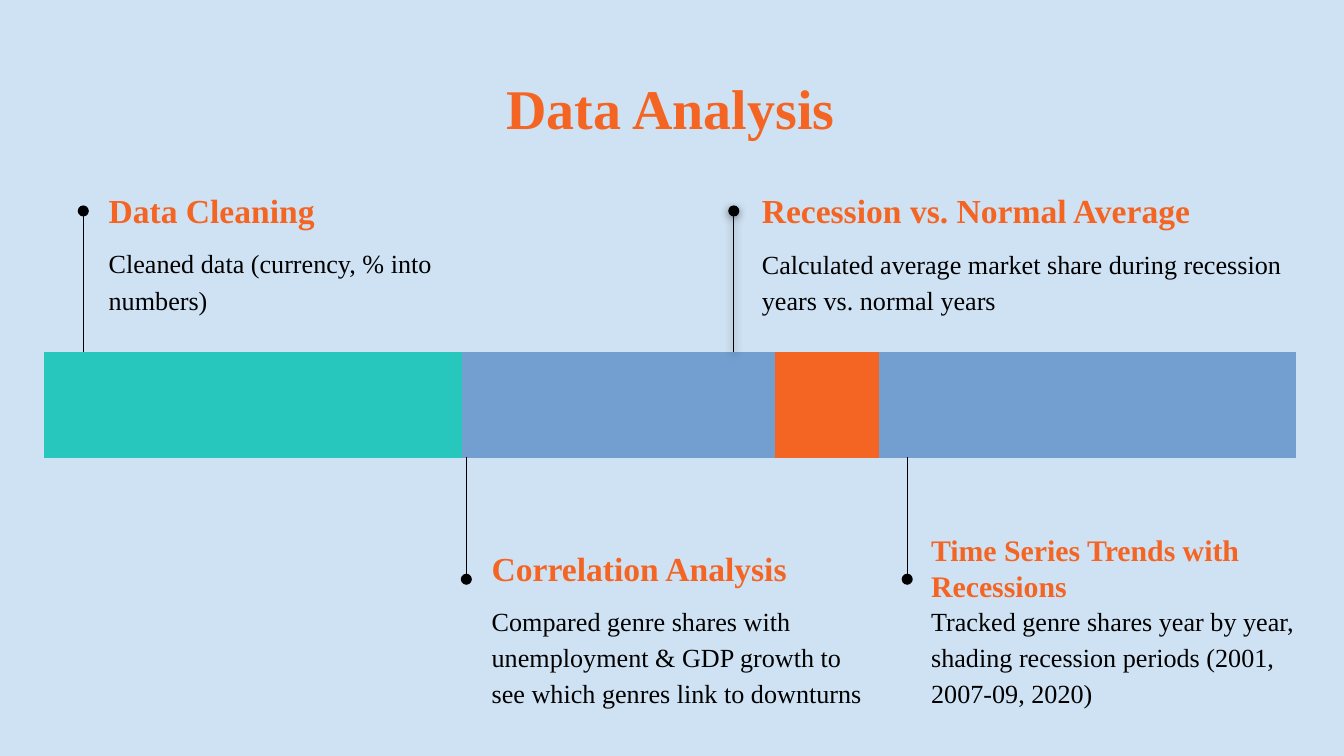
from lxml.etree import SubElement
from pptx import Presentation
from pptx.dml.color import RGBColor
from pptx.enum.shapes import MSO_CONNECTOR
from pptx.enum.text import MSO_ANCHOR, PP_ALIGN
from pptx.oxml.ns import qn
from pptx.util import Inches, Pt

COLORS = {
    "back": "CFE2F3",
    "teal": "27C7BD",
    "blue": "729FCF",
    "orange": "F46524",
    "black": "000000",
}
FONT = "Times New Roman"
PLAIN = "{2D5ABB26-0587-4C30-8999-92F81FD0307C}"
LEFT, TOP, HIGH = 0.33, 2.62, 0.79
COUNT, WIDE = 12, 9.32
PARTS = [(4, "teal", "teal"), (8, "orange", "blue")]
ABOVE = {"head": 1.35, "body": 1.71, "start": TOP, "end": 1.57}
BELOW = {"head": 4.01, "body": 4.37, "start": 3.4, "end": 4.31}
STEPS = [
    (ABOVE, 0.62, 0.71, "Data Cleaning", 18, 2.53,
     "Cleaned data (currency, % into numbers)", 3.01, 0.63, False),
    (BELOW, 3.47, 3.56, "Correlation Analysis", 18, 2.8,
     "Compared genre shares with unemployment & GDP growth to see which "
     "genres link to downturns", 3.01, 1.18, False),
    (ABOVE, 5.46, 5.57, "Recession vs. Normal Average", 18, 3.84,
     "Calculated average market share during recession years vs. normal years",
     4.08, 0.91, True),
    (BELOW, 6.75, 6.83, "Time Series Trends with Recessions", 16, 2.93,
     "Tracked genre shares year by year, shading recession periods "
     "(2001, 2007-09, 2020)", 2.93, 1.18, False),
]


def color(name):
    return RGBColor.from_string(COLORS[name])


def style(frame, text, size, tone, bold, anchor):
    frame.text = text
    frame.word_wrap = True
    frame.vertical_anchor = anchor
    frame.margin_left = frame.margin_right = Inches(0.1)
    frame.margin_top = frame.margin_bottom = Inches(0.1)
    line = frame.paragraphs[0]
    font = line.runs[0].font
    font.name, font.size, font.bold = FONT, Pt(size), bold
    font.color.rgb = color(tone)
    return line


def add_title(slide, text):
    title = slide.shapes.title
    title.left, title.top = Inches(LEFT), Inches(0.45)
    title.width, title.height = Inches(WIDE), Inches(0.7)
    line = style(title.text_frame, text, 30, "orange", True, MSO_ANCHOR.TOP)
    line.alignment = PP_ALIGN.CENTER


def add_text(slide, box, *look):
    shape = slide.shapes.add_textbox(*map(Inches, box))
    return style(shape.text_frame, *look)


def add_bar(slide):
    frame = slide.shapes.add_table(
        1, COUNT, Inches(LEFT), Inches(TOP), Inches(WIDE), Inches(HIGH))
    table = frame.table
    table.first_row = table.horz_banding = False
    table._tbl.tblPr.find(qn("a:tableStyleId")).text = PLAIN
    start = 0
    for span, first, rest in PARTS:
        cells = [table.cell(0, start + step) for step in range(span)]
        cells[0].merge(cells[-1])
        for cell in cells:
            cell.fill.solid()
            cell.fill.fore_color.rgb = color(rest)
        cells[0].fill.fore_color.rgb = color(first)
        start += span


def add_pin(slide, x, start, end, shade):
    pin = slide.shapes.add_connector(
        MSO_CONNECTOR.STRAIGHT, *map(Inches, (x, start, x, end)))
    pin.line.width = Pt(0.75)
    pin.line.color.rgb = color("black")
    SubElement(pin.line._get_or_add_ln(), qn("a:tailEnd"), type="oval")
    effect = SubElement(pin._element.spPr, qn("a:effectLst"))
    if shade:
        shadow = SubElement(
            effect, qn("a:outerShdw"), blurRad=str(Pt(4.5)),
            dist=str(Pt(1.5)), dir="5400000", algn="bl", rotWithShape="0")
        tone = SubElement(shadow, qn("a:srgbClr"), val=COLORS["black"])
        SubElement(tone, qn("a:alpha"), val="50000")


def add_step(slide, side, x, left, head, size, width, body, wide, high, shade):
    add_pin(slide, x, side["start"], side["end"], shade)
    add_text(slide, (left, side["head"], width, 0.43),
             head, size, "orange", True, MSO_ANCHOR.MIDDLE)
    line = add_text(slide, (left, side["body"], wide, high),
                    body, 14, "black", False, MSO_ANCHOR.TOP)
    line.line_spacing = 1.15


def main():
    deck = Presentation()
    deck.slide_width = Inches(10)
    deck.slide_height = deck.slide_width * 9 // 16
    slide = deck.slides.add_slide(deck.slide_layouts[5])
    slide.background.fill.solid()
    slide.background.fill.fore_color.rgb = color("back")
    add_title(slide, "Data Analysis")
    add_bar(slide)
    for step in STEPS:
        add_step(slide, *step)
    deck.save("out.pptx")


if __name__ == "__main__":
    main()
